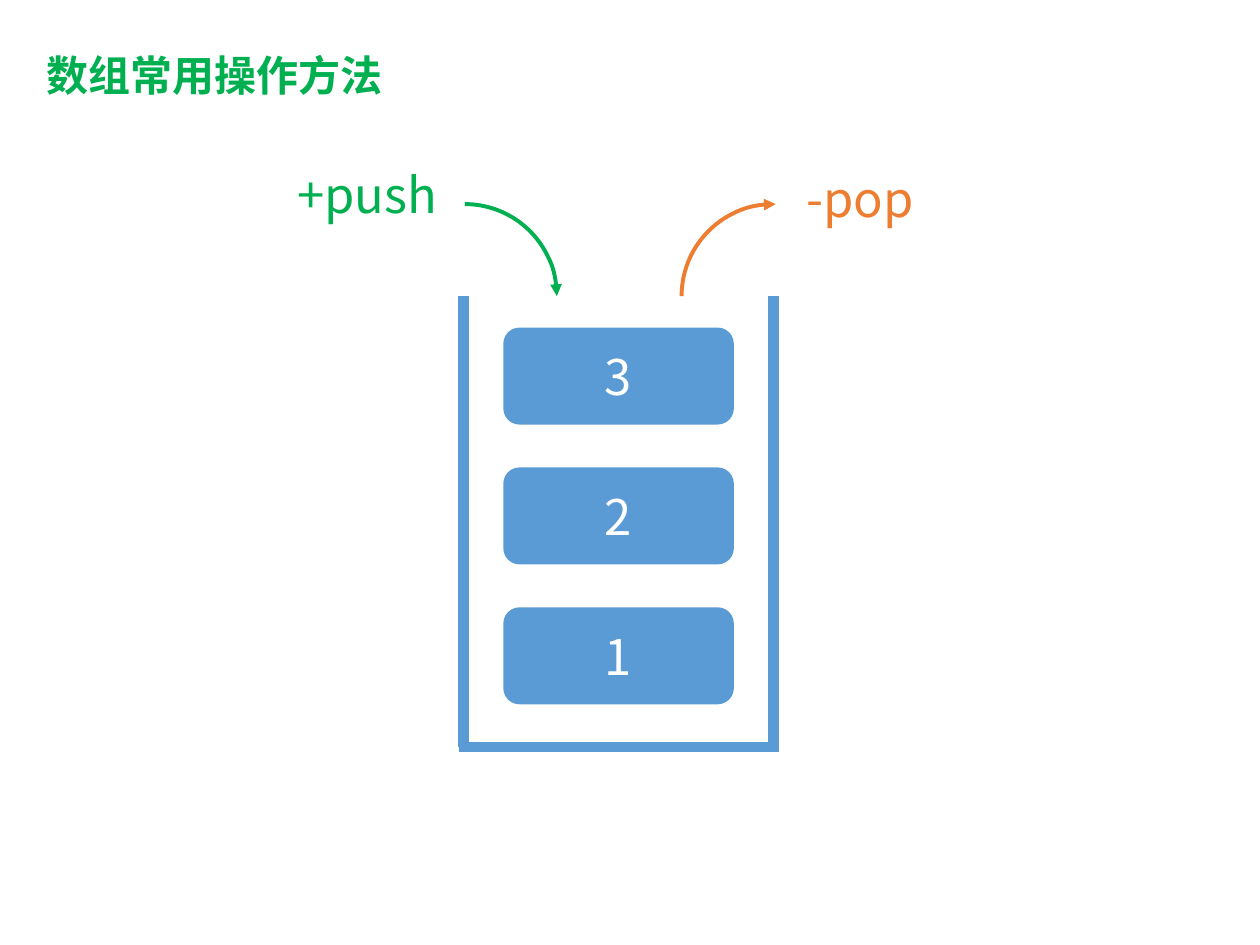
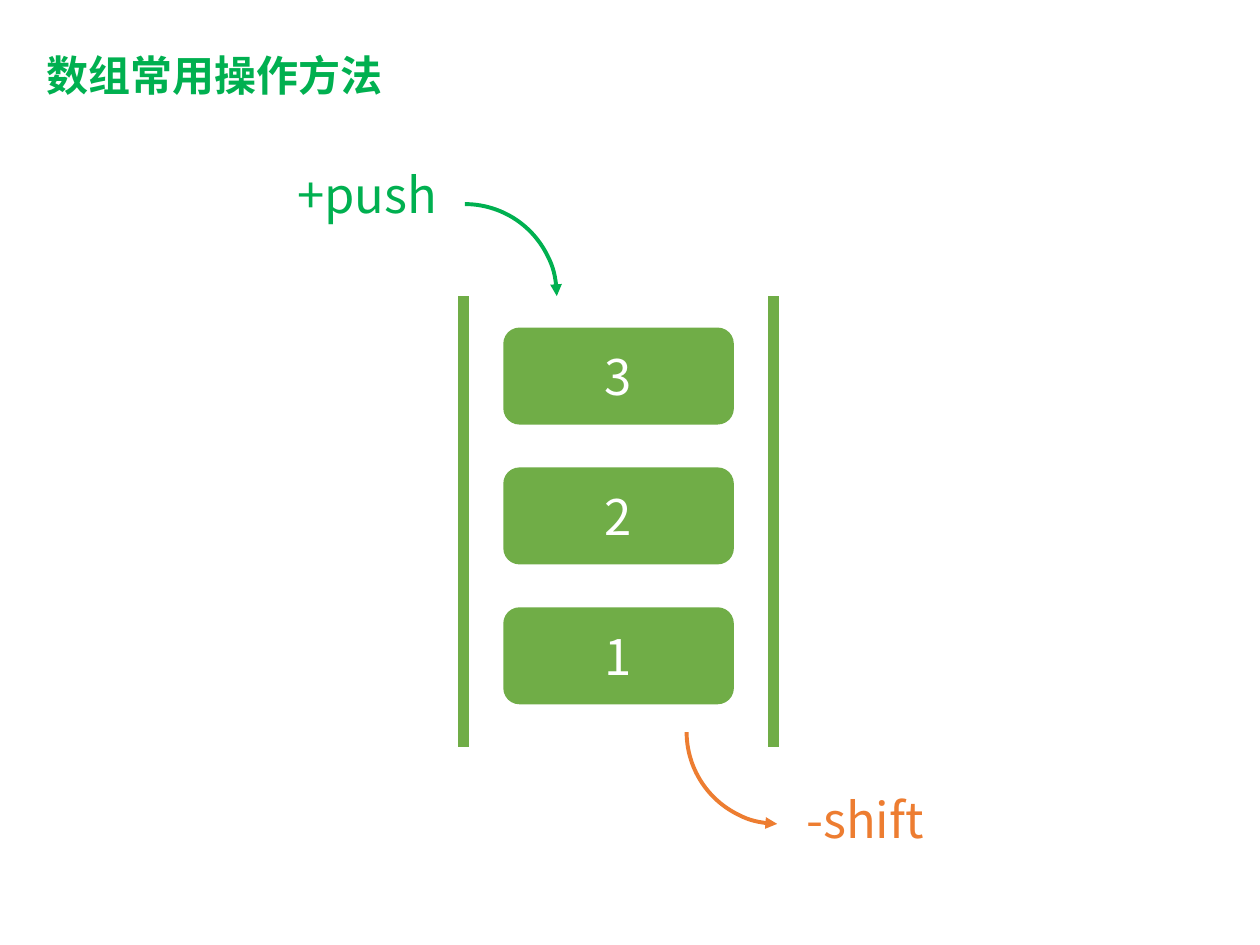
"""Build two slides that show an array as a stack and as a queue."""
import dataclasses

import lxml.etree
import pptx
import pptx.dml.color
import pptx.enum.shapes
import pptx.enum.text
import pptx.oxml.ns
import pptx.util


@dataclasses.dataclass(frozen=True)
class Theme:
    font: str = "Noto Sans CJK SC"
    title_size: int = 24
    body_size: int = 28
    wall_width: float = 6
    arrow_width: float = 2.25
    add: str = "00B050"
    remove: str = "ED7D31"
    stack: str = "5B9BD5"
    queue: str = "70AD47"
    white: str = "FFFFFF"


THEME = Theme()
TITLE = "数组常用操作方法"
ITEMS = ["3", "2", "1"]
PUSH = {"label": "+push", "label_box": (2.26, 1.26, 1.41, 0.57), "corner": (2.96, 1.62),
        "angles": (270, 0), "arrowhead": "tailEnd", "color": THEME.add}
POP = {"label": "-pop", "label_box": (6.3, 1.29, 1.12, 0.57), "corner": (5.41, 1.62),
       "angles": (180, 271.34), "arrowhead": "tailEnd", "color": THEME.remove}
SHIFT = {"label": "-shift", "label_box": (6.3, 6.22, 1.19, 0.57), "corner": (5.45, 5.08),
         "angles": (90.87, 179.91), "arrowhead": "headEnd", "color": THEME.remove}
DIAGRAMS = [
    {"color": THEME.stack, "operations": [PUSH, POP], "closed": True},
    {"color": THEME.queue, "operations": [PUSH, SHIFT], "closed": False},
]

SLIDE_WIDTH, SLIDE_HEIGHT = 10, 7.5
TITLE_BOX = (0.27, 0.34, 4.65, 0.56)
WALL_LEFT, WALL_RIGHT, WALL_TOP, WALL_BOTTOM = 3.68, 6.14, 2.35, 5.93
FLOOR_OVERHANG = 0.04
ITEM_WIDTH, ITEM_HEIGHT, ITEM_TOP, ITEM_PITCH = 1.83, 0.77, 2.6, 1.11
ITEM_LEFT = (WALL_LEFT + WALL_RIGHT - ITEM_WIDTH) / 2
ARC_SIZE = 1.46
ADJUSTMENT_PER_DEGREE = 0.6


def inches(lengths):
    return [pptx.util.Inches(length) for length in lengths]


def rgb(color):
    return pptx.dml.color.RGBColor.from_string(color)


def write(shape, text, size, color, bold=False):
    paragraph = shape.text_frame.paragraphs[0]
    paragraph.text = text
    font = paragraph.runs[0].font
    font.size, font.bold, font.name = pptx.util.Pt(size), bold, THEME.font
    font.color.rgb = rgb(color)
    east_asian = lxml.etree.SubElement(font._element, pptx.oxml.ns.qn("a:ea"))
    east_asian.set("typeface", THEME.font)
    return paragraph


def add_title(slide):
    title = slide.shapes.add_textbox(*inches(TITLE_BOX))
    title.text_frame.word_wrap = True
    title.text_frame.vertical_anchor = pptx.enum.text.MSO_ANCHOR.MIDDLE
    write(title, TITLE, THEME.title_size, THEME.add, bold=True).line_spacing = 0.9


def add_item(slide, row, value, color):
    box = (ITEM_LEFT, ITEM_TOP + row * ITEM_PITCH, ITEM_WIDTH, ITEM_HEIGHT)
    item = slide.shapes.add_shape(pptx.enum.shapes.MSO_SHAPE.ROUNDED_RECTANGLE, *inches(box))
    item.shadow.inherit = False
    item.fill.solid()
    item.fill.fore_color.rgb = rgb(color)
    item.line.fill.background()
    item.text_frame.vertical_anchor = pptx.enum.text.MSO_ANCHOR.MIDDLE
    paragraph = write(item, value, THEME.body_size, THEME.white)
    paragraph.alignment = pptx.enum.text.PP_ALIGN.CENTER


def add_operation(slide, operation):
    arc = slide.shapes.add_shape(pptx.enum.shapes.MSO_SHAPE.ARC,
                                 *inches((*operation["corner"], ARC_SIZE, ARC_SIZE)))
    arc.shadow.inherit = False
    arc.fill.background()
    arc.line.color.rgb = rgb(operation["color"])
    arc.line.width = pptx.util.Pt(THEME.arrow_width)
    for index, angle in enumerate(operation["angles"]):
        arc.adjustments[index] = angle * ADJUSTMENT_PER_DEGREE
    outline = arc.line._get_or_add_ln()
    arrowhead = pptx.oxml.ns.qn("a:" + operation["arrowhead"])
    lxml.etree.SubElement(outline, arrowhead).set("type", "triangle")

    label = slide.shapes.add_textbox(*inches(operation["label_box"]))
    label.text_frame.word_wrap = False
    label.text_frame.auto_size = pptx.enum.text.MSO_AUTO_SIZE.SHAPE_TO_FIT_TEXT
    write(label, operation["label"], THEME.body_size, operation["color"])


def add_container(slide, color, closed):
    sides = [(x, WALL_TOP, x, WALL_BOTTOM) for x in (WALL_LEFT, WALL_RIGHT)]
    if closed:
        sides.append((WALL_RIGHT + FLOOR_OVERHANG, WALL_BOTTOM,
                      WALL_LEFT - FLOOR_OVERHANG, WALL_BOTTOM))
    for ends in sides:
        side = slide.shapes.add_connector(pptx.enum.shapes.MSO_CONNECTOR.STRAIGHT, *inches(ends))
        side.line.color.rgb = rgb(color)
        side.line.width = pptx.util.Pt(THEME.wall_width)
        lxml.etree.SubElement(side._element.spPr, pptx.oxml.ns.qn("a:effectLst"))


def main():
    deck = pptx.Presentation()
    deck.slide_width, deck.slide_height = inches((SLIDE_WIDTH, SLIDE_HEIGHT))
    for diagram in DIAGRAMS:
        slide = deck.slides.add_slide(deck.slide_layouts[6])
        add_title(slide)
        for row, value in reversed(list(enumerate(ITEMS))):
            add_item(slide, row, value, diagram["color"])
        for operation in diagram["operations"]:
            add_operation(slide, operation)
        add_container(slide, diagram["color"], diagram["closed"])
    deck.save("out.pptx")


if __name__ == "__main__":
    main()
